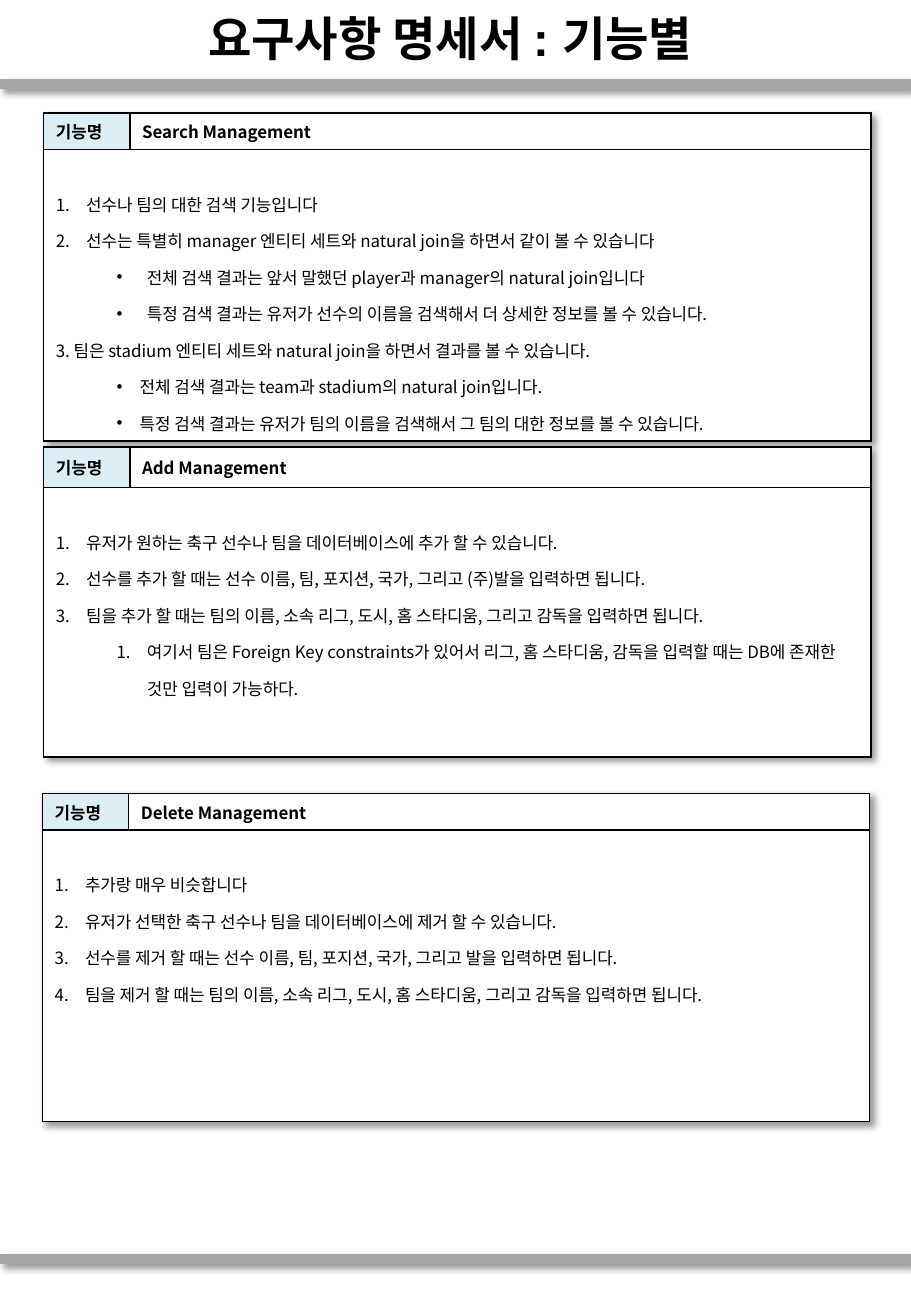
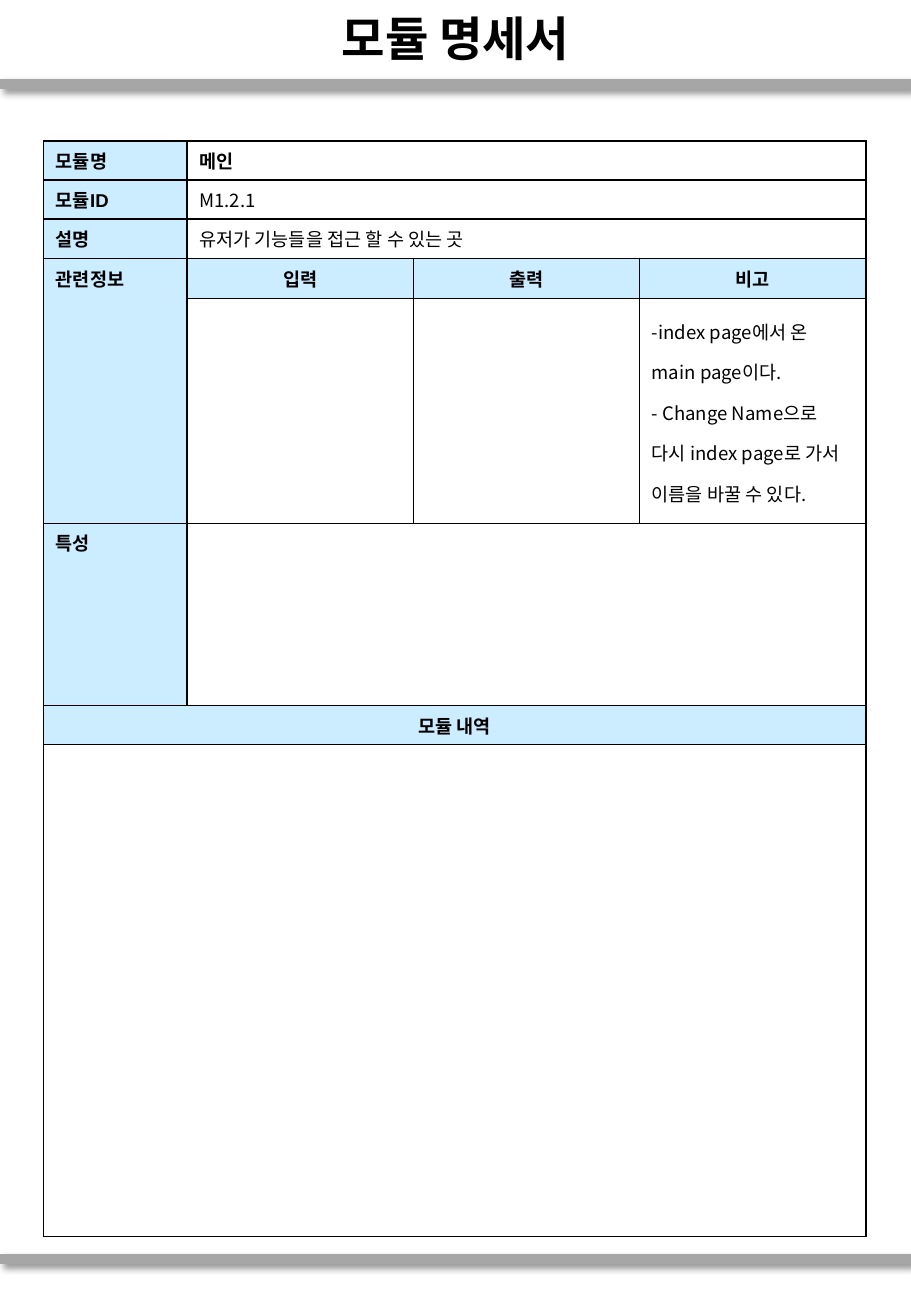
from lxml.etree import SubElement
from pptx import Presentation
from pptx.dml.color import RGBColor
from pptx.enum.shapes import MSO_CONNECTOR
from pptx.enum.text import MSO_ANCHOR, MSO_AUTO_SIZE, PP_ALIGN
from pptx.oxml import parse_xml
from pptx.oxml.ns import nsdecls, qn
from pptx.util import Inches, Pt

BLACK = RGBColor(0x00, 0x00, 0x00)
WHITE = RGBColor(0xFF, 0xFF, 0xFF)
GRAY = RGBColor(0xA6, 0xA6, 0xA6)
PALE_TEAL = RGBColor(0xDB, 0xEE, 0xF4)
PALE_BLUE = RGBColor(0xCC, 0xEC, 0xFF)
KOREAN_FONT = "Noto Sans CJK KR"
LATIN_FONT = "Arial"
SHADOW = (
    f'<a:effectLst {nsdecls("a")}><a:outerShdw blurRad="50800" dist="38100" dir="2700000" '
    'algn="tl" rotWithShape="0"><a:srgbClr val="000000"><a:alpha val="40000"/></a:srgbClr>'
    '</a:outerShdw></a:effectLst>'
)


def format_text(text_frame, size, bold, font_name=KOREAN_FONT):
    for paragraph in text_frame.paragraphs:
        for run in paragraph.runs:
            run.font.size = Pt(size)
            run.font.bold = bold
            run.font.name = font_name
            run.font.color.rgb = BLACK
            run.font._element.set("kern", "0")
            SubElement(run.font._element, qn("a:ea"), typeface=KOREAN_FONT)


def add_grid(slide, left, top, column_widths, row_heights):
    frame = slide.shapes.add_table(
        len(row_heights), len(column_widths), Inches(left), Inches(top),
        Inches(sum(column_widths)), Inches(sum(row_heights)))
    table = frame.table
    table.first_row = False
    table.horz_banding = False
    for column, width in zip(table.columns, column_widths):
        column.width = Inches(width)
    for row, height in zip(table.rows, row_heights):
        row.height = Inches(height)
    for cell in table.iter_cells():
        cell.fill.solid()
        cell.fill.fore_color.rgb = WHITE
        properties = cell._tc.get_or_add_tcPr()
        for position, side in enumerate(("lnL", "lnR", "lnT", "lnB")):
            properties.insert(position, parse_xml(
                f'<a:{side} {nsdecls("a")} w="12700"><a:solidFill>'
                f'<a:srgbClr val="{BLACK}"/></a:solidFill></a:{side}>'))
    return table


presentation = Presentation()
presentation.slide_width = Inches(7.5)
presentation.slide_height = Inches(10.83)

slides = []
for title_text, title_font in (("요구사항 명세서 : 기능별 ", LATIN_FONT), ("모듈 명세서", KOREAN_FONT)):
    slide = presentation.slides.add_slide(presentation.slide_layouts[5])
    title = slide.shapes.title
    title.left, title.top, title.width, title.height = (
        Inches(value) for value in (0, 0.01, 7.5, 0.6))
    title.text_frame.text = title_text
    title.text_frame.auto_size = MSO_AUTO_SIZE.NONE
    title.text_frame.vertical_anchor = MSO_ANCHOR.MIDDLE
    title.text_frame.paragraphs[0].alignment = PP_ALIGN.CENTER
    format_text(title.text_frame, 28, True, title_font)
    slides.append(slide)
function_slide, module_slide = slides

for shape_id, rule_top in ((101, 0.69), (102, 10.36)):
    rule = function_slide.shapes.add_connector(
        MSO_CONNECTOR.STRAIGHT, 0, Inches(rule_top), Inches(7.5), Inches(rule_top))
    rule.line.color.rgb = GRAY
    rule.line.width = Pt(6)
    rule._element.spPr.append(parse_xml(SHADOW))
    rule._element.nvCxnSpPr.cNvPr.set("id", str(shape_id))
    presentation.slide_master.shapes._spTree.append(rule._element)

LIST_STYLES = {
    "number": (0, 0.25, 0.25, "1."),
    "subnumber": (1, 0.75, 0.25, "1."),
    "bullet": (1, 0.75, 0.25, "•"),
    "near bullet": (1, 0.69, 0.19, "•"),
    "plain": (0, 0, 0, None),
}
functions = [
    ("Search Management", 0.36, 0.93, (0.3, 2.4), [
        ("number", "선수나 팀의 대한 검색 기능입니다"),
        ("number", "선수는 특별히 manager 엔티티 세트와 natural join을 하면서 같이 볼 수 있습니다"),
        ("bullet", "전체 검색 결과는 앞서 말했던 player과 manager의 natural join입니다"),
        ("bullet", "특정 검색 결과는 유저가 선수의 이름을 검색해서 더 상세한 정보를 볼 수 있습니다."),
        ("plain", "3. 팀은 stadium 엔티티 세트와 natural join을 하면서 결과를 볼 수 있습니다."),
        ("near bullet", "전체 검색 결과는 team과 stadium의 natural join입니다."),
        ("near bullet", "특정 검색 결과는 유저가 팀의 이름을 검색해서 그 팀의 대한 정보를 볼 수 있습니다."),
    ]),
    ("Add Management", 0.36, 3.68, (0.33, 2.22), [
        ("number", "유저가 원하는 축구 선수나 팀을 데이터베이스에 추가 할 수 있습니다."),
        ("number", "선수를 추가 할 때는 선수 이름, 팀, 포지션, 국가, 그리고 (주)발을 입력하면 됩니다."),
        ("number", "팀을 추가 할 때는 팀의 이름, 소속 리그, 도시, 홈 스타디움, 그리고 감독을 입력하면 됩니다."),
        ("subnumber", "여기서 팀은 Foreign Key constraints가 있어서 리그, 홈 스타디움, 감독을 입력할 때는 "
                      "DB에 존재한 것만 입력이 가능하다."),
    ]),
    ("Delete Management", 0.35, 6.53, (0.3, 2.4), [
        ("number", "추가랑 매우 비슷합니다"),
        ("number", "유저가 선택한 축구 선수나 팀을 데이터베이스에 제거 할 수 있습니다."),
        ("number", "선수를 제거 할 때는 선수 이름, 팀, 포지션, 국가, 그리고 발을 입력하면 됩니다."),
        ("number", "팀을 제거 할 때는 팀의 이름, 소속 리그, 도시, 홈 스타디움, 그리고 감독을 입력하면 됩니다."),
    ]),
]
for function_name, left, top, row_heights, items in functions:
    table = add_grid(function_slide, left, top, (0.71, 6.1), row_heights)
    table._tbl.tblPr.insert(0, parse_xml(SHADOW))
    for column, text in enumerate(("기능명", function_name)):
        cell = table.cell(0, column)
        cell.text_frame.text = text
        cell.vertical_anchor = MSO_ANCHOR.MIDDLE
        format_text(cell.text_frame, 10, True)
    table.cell(0, 0).fill.fore_color.rgb = PALE_TEAL

    body = table.cell(1, 0)
    body.merge(table.cell(1, 1))
    body.margin_top = Inches(0.25)
    body.text_frame.text = "\n".join(text for _, text in items)
    for paragraph, (style, _) in zip(body.text_frame.paragraphs, items):
        level, indent, hanging, marker = LIST_STYLES[style]
        paragraph.level = level
        paragraph.line_spacing = 1.5
        properties = paragraph._p.get_or_add_pPr()
        properties.set("marL", str(Inches(indent)))
        properties.set("indent", str(-Inches(hanging)))
        if marker == "1.":
            SubElement(properties, qn("a:buFont"), typeface="+mj-lt")
            SubElement(properties, qn("a:buAutoNum"), type="arabicPeriod")
        elif marker:
            SubElement(properties, qn("a:buFont"), typeface=LATIN_FONT)
            SubElement(properties, qn("a:buChar"), char=marker)
    format_text(body.text_frame, 10, False)

label_width = 1.18
detail_width = (6.77 - label_width) / 3
module_table = add_grid(
    module_slide, 0.36, 1.16, (label_width, detail_width, detail_width, detail_width),
    (0.32, 0.32, 0.32, 0.33, 1.85, 1.5, 0.32, 4.05))
for first_row, first_column, last_row, last_column in (
        (0, 1, 0, 3), (1, 1, 1, 3), (2, 1, 2, 3), (3, 0, 4, 0),
        (5, 1, 5, 3), (6, 0, 6, 3), (7, 0, 7, 3)):
    module_table.cell(first_row, first_column).merge(module_table.cell(last_row, last_column))

labels = [
    (0, 0, "모듈명"), (1, 0, "모듈ID"), (2, 0, "설명"), (3, 0, "관련정보"),
    (3, 1, "입력"), (3, 2, "출력"), (3, 3, "비고"), (5, 0, "특성"), (6, 0, "모듈 내역"),
]
for row, column, text in labels:
    cell = module_table.cell(row, column)
    cell.text_frame.text = text
    cell.fill.fore_color.rgb = PALE_BLUE
    if column > 0 or row == 6:
        cell.text_frame.paragraphs[0].alignment = PP_ALIGN.CENTER
    format_text(cell.text_frame, 11, True, LATIN_FONT)

values = [
    (0, 1, "메인", True),
    (1, 1, "M1.2.1", False),
    (2, 1, "유저가 기능들을 접근 할 수 있는 곳", False),
    (4, 3, "-index page에서 온 main page이다.\n"
           "- Change Name으로 다시 index page로 가서 이름을 바꿀 수 있다.", False),
]
for row, column, text, bold in values:
    cell = module_table.cell(row, column)
    cell.text_frame.text = text
    format_text(cell.text_frame, 11, bold)
for paragraph in module_table.cell(4, 3).text_frame.paragraphs:
    paragraph.line_spacing = 1.5

presentation.save("out.pptx")
